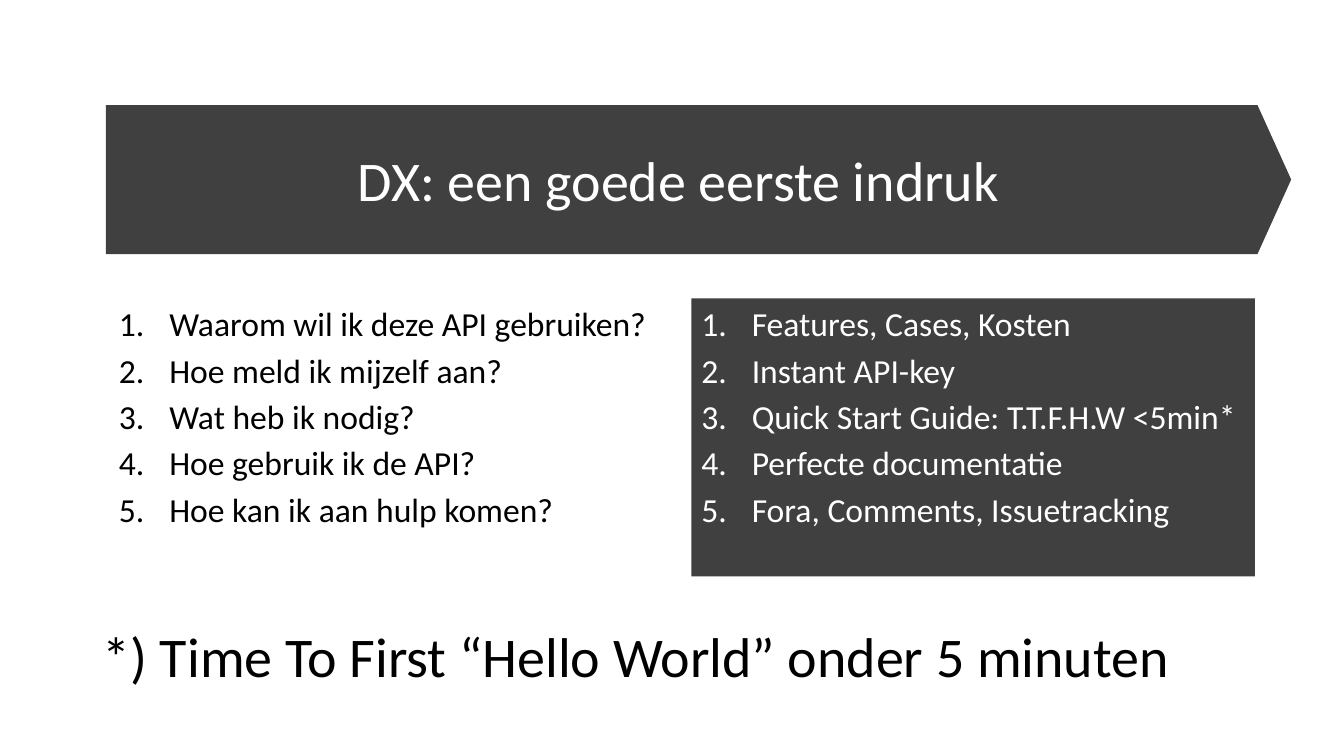
from lxml.etree import SubElement
from pptx import Presentation
from pptx.dml.color import RGBColor
from pptx.enum.shapes import MSO_SHAPE
from pptx.enum.text import MSO_ANCHOR, PP_ALIGN
from pptx.oxml.ns import qn
from pptx.util import Pt

DARK, WHITE, BLACK = "404040", "FFFFFF", "000000"

QUESTIONS = [
    "Waarom wil ik deze API gebruiken?",
    "Hoe meld ik mijzelf aan?",
    "Wat heb ik nodig?",
    "Hoe gebruik ik de API?",
    "Hoe kan ik aan hulp komen?",
]
ANSWERS = [
    "Features, Cases, Kosten",
    "Instant API-key",
    "Quick Start Guide: T.T.F.H.W <5min*",
    "Perfecte documentatie",
    "Fora, Comments, Issuetracking",
]


def color(hex_value):
    return RGBColor.from_string(hex_value)


def add_panel(slide, preset, box):
    panel = slide.shapes.add_shape(preset, *map(Pt, box))
    panel.shadow.inherit = False
    panel.fill.solid()
    panel.fill.fore_color.rgb = color(DARK)
    panel.line.fill.background()
    return panel


def style(paragraph, text, size, ink, align=PP_ALIGN.LEFT):
    paragraph.text = text
    paragraph.alignment = align
    paragraph.font.name = "Calibri"
    paragraph.font.size = Pt(size)
    paragraph.font.color.rgb = color(ink)


def add_line(slide, box, text, align=PP_ALIGN.LEFT, ink=BLACK):
    frame = slide.shapes.add_textbox(*map(Pt, box)).text_frame
    frame.word_wrap = True
    frame.vertical_anchor = MSO_ANCHOR.MIDDLE
    style(frame.paragraphs[0], text, 40, ink, align)


def add_heading(slide, box, text):
    left, top, width, height = box
    # Arrow-shaped band
    band = add_panel(slide, MSO_SHAPE.PENTAGON, box)
    band.adjustments[0] = 0.226
    # Title, centred just left of the arrow tip
    title_box = (left + 2.4, top + 19.4, width - 33.7, 67.7)
    add_line(slide, title_box, text, PP_ALIGN.CENTER, WHITE)


def add_numbered_list(slide, box, items, ink, filled=False):
    if filled:
        holder = add_panel(slide, MSO_SHAPE.RECTANGLE, box)
    else:
        holder = slide.shapes.add_textbox(*map(Pt, box))
    frame = holder.text_frame
    frame.word_wrap = True
    frame.vertical_anchor = MSO_ANCHOR.TOP
    for index, item in enumerate(items):
        paragraph = frame.add_paragraph() if index else frame.paragraphs[0]
        paragraph.space_before = Pt(4.3 if index else 0)
        # Automatic numbering with a hanging indent
        properties = paragraph._p.get_or_add_pPr()
        properties.set("marL", str(Pt(36)))
        properties.set("indent", str(-Pt(36)))
        SubElement(properties, qn("a:buFont"), typeface="+mj-lt")
        SubElement(properties, qn("a:buAutoNum"), type="arabicPeriod")
        style(paragraph, item, 24, ink)


def main():
    deck = Presentation()
    deck.slide_width, deck.slide_height = Pt(960), Pt(540)
    slide = deck.slides.add_slide(deck.slide_layouts[6])

    add_heading(slide, (75.6, 75, 846.7, 106.5), "DX: een goede eerste indruk")

    # Questions beside their answers
    add_numbered_list(slide, (77.8, 213.1, 402.5, 252), QUESTIONS, BLACK)
    add_numbered_list(slide, (493.9, 213.1, 402.5, 198.7), ANSWERS, WHITE, filled=True)

    # Footnote
    add_line(slide, (66.2, 440, 830.2, 55.4),
             "*) Time To First “Hello World” onder 5 minuten")

    deck.save("out.pptx")


if __name__ == "__main__":
    main()
